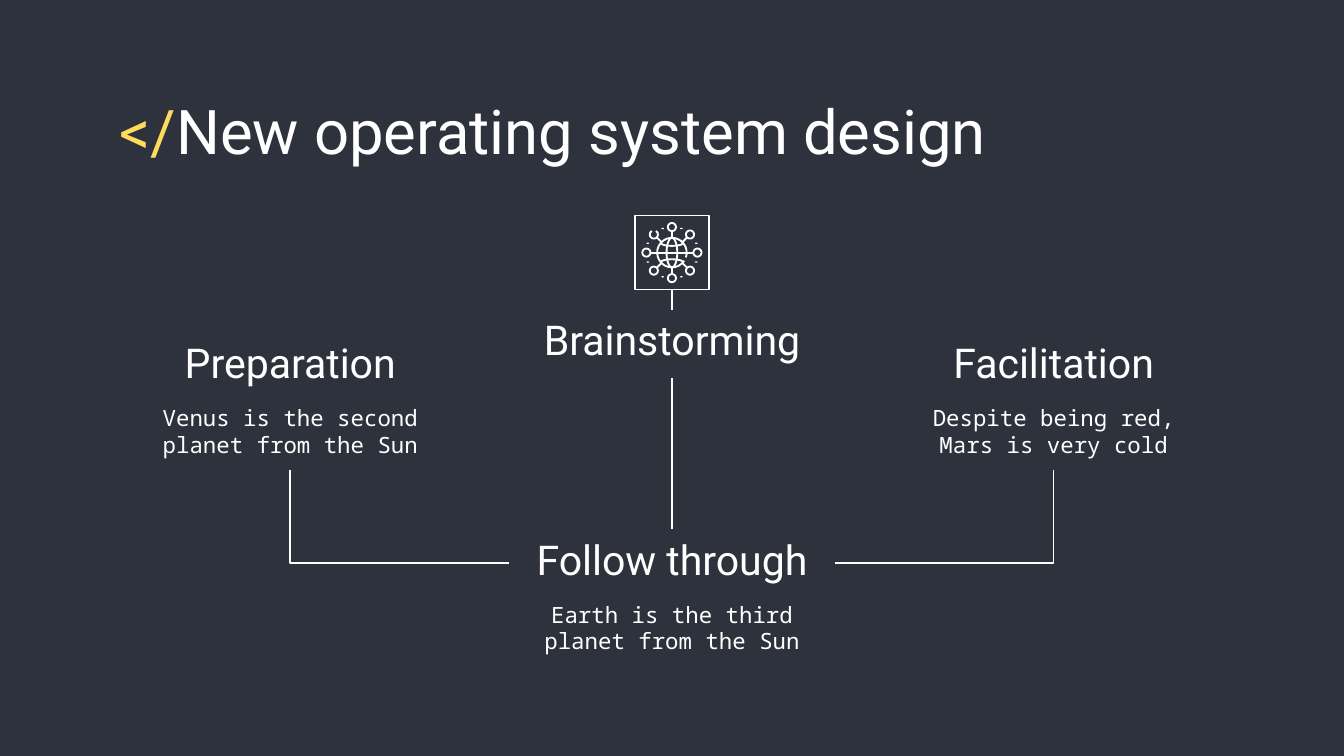
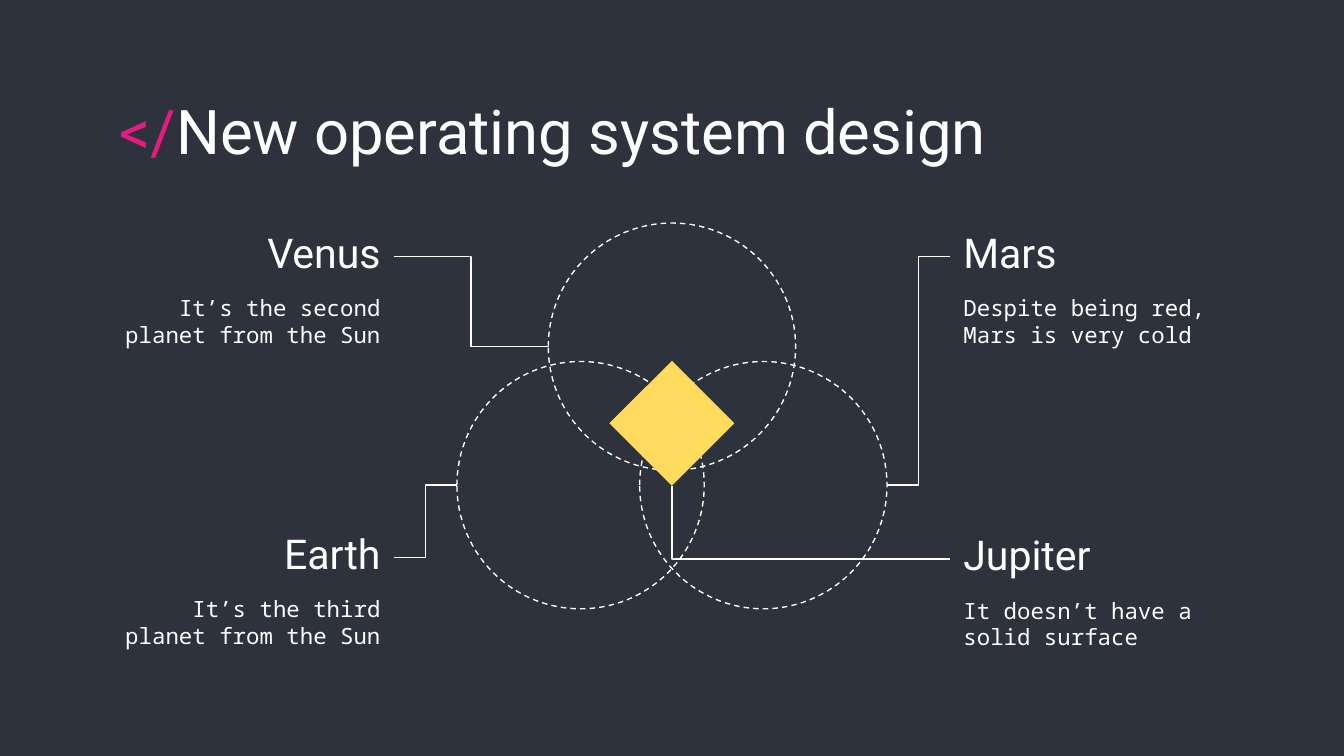
from itertools import product
from math import cos, radians, sin

from lxml import etree
from pptx import Presentation
from pptx.dml.color import RGBColor
from pptx.enum.dml import MSO_LINE
from pptx.enum.shapes import MSO_CONNECTOR, MSO_SHAPE
from pptx.enum.text import MSO_ANCHOR, PP_ALIGN
from pptx.oxml.ns import qn
from pptx.util import Inches, Pt

NAVY = RGBColor(0x2D, 0x32, 0x3C)
WHITE = RGBColor(0xFF, 0xFF, 0xFF)
YELLOW = RGBColor(0xFF, 0xDB, 0x5D)
PINK = RGBColor(0xE8, 0x19, 0x81)

LEFT, CENTER, RIGHT = PP_ALIGN.LEFT, PP_ALIGN.CENTER, PP_ALIGN.RIGHT
TOP, BOTTOM = MSO_ANCHOR.TOP, MSO_ANCHOR.BOTTOM
RECT, ELLIPSE, DIAMOND = MSO_SHAPE.RECTANGLE, MSO_SHAPE.OVAL, MSO_SHAPE.DIAMOND
STRAIGHT, ELBOW = MSO_CONNECTOR.STRAIGHT, MSO_CONNECTOR.ELBOW
DASH = MSO_LINE.DASH

HEADING_FONT, BODY_FONT = "Roboto", "Noto Sans Mono"
HEADING_H, BODY_H, BODY_DROP = 0.5, 0.6, 0.43
THIN, ICON_LINE = 0.75, 1


def arc_points(cx, cy, rx, ry, start=0, end=360, steps=24):
    angles = [radians(start + (end - start) * i / steps) for i in range(steps + 1)]
    return [(cx + rx * cos(a), cy + ry * sin(a)) for a in angles]


class Deck:
    def __init__(self):
        self.prs = Presentation()
        self.prs.slide_width = Inches(10)
        self.prs.slide_height = self.prs.slide_width * 9 // 16
        self.s = None

    def slide(self, title, accent):
        self.s = self.prs.slides.add_slide(self.prs.slide_layouts[6])
        fill = self.s.background.fill
        fill.solid()
        fill.fore_color.rgb = NAVY
        p = self.text("", 0.79, 0.59, 8.43, 0.63, 33, HEADING_FONT)
        for text, color in (("</", accent), (title, WHITE)):
            r = p.add_run()
            r.text = text
            r.font.color.rgb = color

    def text(self, text, x, y, w, h, size, font, align=LEFT, anchor=TOP):
        sp = self.s.shapes.add_textbox(Inches(x), Inches(y), Inches(w), Inches(h))
        tf = sp.text_frame
        tf.word_wrap = True
        tf.vertical_anchor = anchor
        tf.margin_left = tf.margin_right = Inches(0.1)
        tf.margin_top = tf.margin_bottom = Inches(0.1)
        p = tf.paragraphs[0]
        p.text = text
        p.alignment = align
        p.font.size = Pt(size)
        p.font.name = font
        p.font.color.rgb = WHITE
        return p

    def heading(self, text, x, y, w, align):
        self.text(text, x, y, w, HEADING_H, 22, HEADING_FONT, align, BOTTOM)

    def topic(self, heading, body, x, y, w, align):
        self.heading(heading, x, y, w, align)
        self.text(body, x, y + BODY_DROP, w, BODY_H, 12, BODY_FONT, align)

    def outline(self, sp, width=THIN, dash=None):
        sp.shadow.inherit = False
        sp.fill.background()
        sp.line.color.rgb = WHITE
        sp.line.width = Pt(width)
        sp.line.dash_style = dash

    def shape(self, kind, cx, cy, w, h, fill=None, dash=None):
        sp = self.s.shapes.add_shape(
            kind, Inches(cx - w / 2), Inches(cy - h / 2), Inches(w), Inches(h))
        if fill is None:
            self.outline(sp, dash=dash)
        else:
            sp.shadow.inherit = False
            sp.fill.solid()
            sp.fill.fore_color.rgb = fill
            sp.line.fill.background()

    def strokes(self, contours):
        contours = [[(Inches(x), Inches(y)) for x, y in c] for c in contours]
        builder = self.s.shapes.build_freeform(*contours[0][0])
        for contour in contours:
            builder.move_to(*contour[0])
            builder.add_line_segments(contour[1:], close=False)
        self.outline(builder.convert_to_shape(), ICON_LINE)

    def line(self, x1, y1, x2, y2, kind=STRAIGHT):
        cxn = self.s.shapes.add_connector(
            kind, Inches(x1), Inches(y1), Inches(x2), Inches(y2))
        cxn.line.color.rgb = WHITE
        cxn.line.width = Pt(THIN)
        etree.SubElement(cxn._element.spPr, qn("a:effectLst"))
        return cxn

    def corner(self, x1, y1, x2, y2):
        cxn = self.line(x1, y1, x2, y2, ELBOW)
        cxn._element.spPr.find(qn("a:prstGeom")).set("prst", "bentConnector2")

    def network_icon(self, cx, cy):
        for sx, sy in product((-1, 1), repeat=2):
            for dx, dy in ((0.07, 0.18), (0.18, 0.07)):
                self.shape(ELLIPSE, cx + sx * dx, cy + sy * dy, 0.02, 0.01, WHITE)
        contours = [
            arc_points(cx, cy, 0.11, 0.11, 34, 379),
            arc_points(cx, cy, 0.04, 0.11),
            arc_points(cx, cy - 0.07, 0.08, 0.02, 0, 180),
            arc_points(cx, cy + 0.07, 0.08, 0.02, 180, 360),
            [(cx - 0.11, cy), (cx + 0.11, cy)],
        ]
        for angle in range(0, 360, 45):
            dx, dy = cos(radians(angle)), sin(radians(angle))
            start, end = (-60, 240) if angle == 225 else (0, 360)
            contours.append(
                arc_points(cx + 0.19 * dx, cy + 0.19 * dy, 0.03, 0.03, start, end))
            contours.append([(cx + r * dx, cy + r * dy) for r in (0.11, 0.16)])
        self.strokes(contours)


def process_slide(deck):
    deck.slide("New operating system design", YELLOW)
    w = 2.42
    for heading, body, x, y in (
        ("Preparation", "Venus is the second planet from the Sun", 0.95, 2.48),
        ("Facilitation", "Despite being red, Mars is very cold", 6.63, 2.48),
        ("Follow through", "Earth is the third planet from the Sun", 3.79, 3.94),
    ):
        deck.topic(heading, body, x, y, w, CENTER)
    deck.corner(3.79, 4.19, 2.16, 3.5)
    deck.corner(6.21, 4.19, 7.84, 3.5)
    deck.heading("Brainstorming", 3.79, 2.31, w, CENTER)
    deck.line(5, 3.94, 5, 2.81)
    deck.shape(RECT, 5, 1.88, 0.55, 0.55)
    deck.line(5, 2.16, 5, 2.31)
    deck.network_icon(5, 1.88)


def planets_slide(deck):
    deck.slide("New operating system design", PINK)
    for cx, cy in ((5, 2.58), (4.32, 3.61), (5.68, 3.61)):
        deck.shape(ELLIPSE, cx, cy, 1.84, 1.84, dash=DASH)
    left, right, w = 0.79, 7.07, 2.14
    for heading, body, x, y, align in (
        ("Venus", "It’s the second planet from the Sun", left, 1.66, RIGHT),
        ("Earth", "It’s the third planet from the Sun", left, 3.9, RIGHT),
        ("Mars", "Despite being red, Mars is very cold", right, 1.66, LEFT),
        ("Jupiter", "It doesn’t have a solid surface", right, 3.91, LEFT),
    ):
        deck.topic(heading, body, x, y, w, align)
    deck.line(left + w, 1.91, 4.08, 2.58, ELBOW)
    deck.line(left + w, 4.15, 3.4, 3.61, ELBOW)
    deck.line(right, 1.91, 6.6, 3.61, ELBOW)
    deck.corner(right, 4.16, 5, 3.62)
    deck.shape(DIAMOND, 5, 3.15, 0.93, 0.93, YELLOW)


def main():
    deck = Deck()
    process_slide(deck)
    planets_slide(deck)
    deck.prs.save("out.pptx")


if __name__ == "__main__":
    main()
